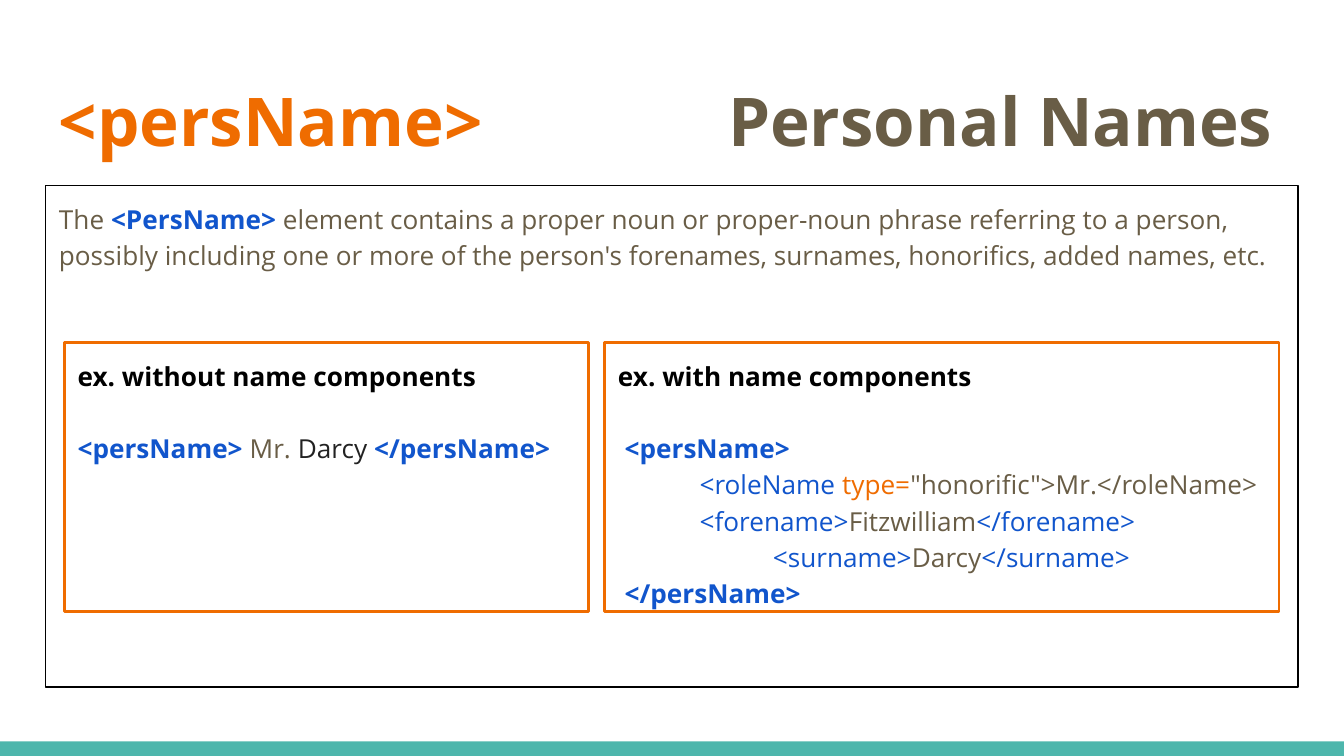
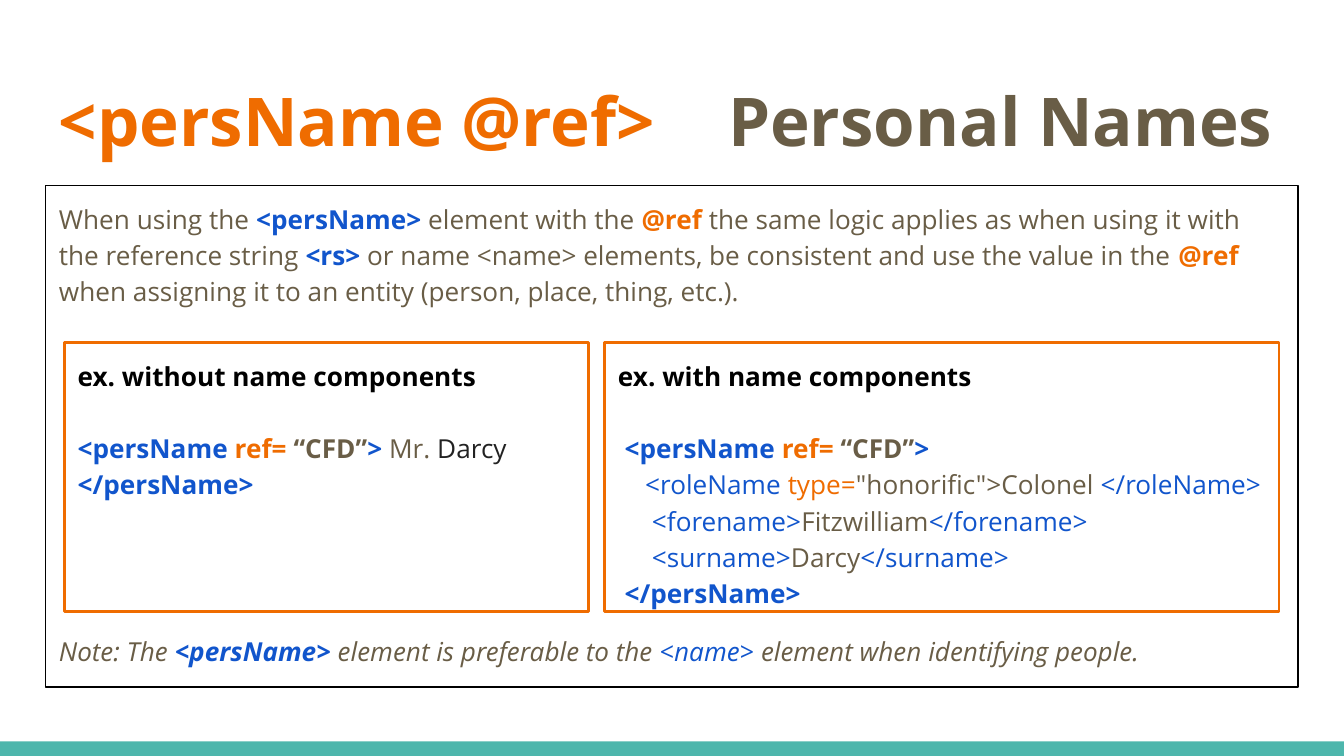
from lxml import etree
from pptx import Presentation
from pptx.dml.color import RGBColor
from pptx.enum.shapes import MSO_SHAPE
from pptx.enum.text import MSO_ANCHOR, PP_ALIGN
from pptx.oxml.ns import qn
from pptx.util import Pt

BROWN, ORANGE, BLUE = "695D46", "EF6C00", "1155CC"
BLACK, INK, TEAL, WHITE = "000000", "222222", "4DB6AC", "FFFFFF"
FONT = "Open Sans"
LINE_PITCH = 19.29
TITLE_TAB = 358.5

STYLES = {
    "text": (BROWN, {}),
    "text bold": (BROWN, {"bold": True}),
    "text italic": (BROWN, {"italic": True}),
    "ink": (INK, {}),
    "heading": (BLACK, {"bold": True}),
    "tag": (BLUE, {}),
    "tag bold": (BLUE, {"bold": True}),
    "tag italic": (BLUE, {"italic": True}),
    "tag bold italic": (BLUE, {"bold": True, "italic": True}),
    "attribute": (ORANGE, {}),
    "attribute bold": (ORANGE, {"bold": True}),
}

CFD = [("<persName ", "tag bold"), ("ref= ", "attribute bold"), ("“CFD”", "text bold")]
MR_DARCY = [("Mr. ", "text"), ("Darcy ", "ink"), ("</persName>", "tag bold")]
FORENAME = [("<forename>", "tag"), ("Fitzwilliam", "text"), ("</forename>", "tag")]
SURNAME = [("<surname>", "tag"), ("Darcy", "text"), ("</surname>", "tag")]
ROLE = [("<roleName ", "tag"), ("type=", "attribute")]
CLOSING = [("</persName>", "tag bold")]

LESSONS = [
    {
        "element": "<persName>",
        "body": [
            (0, 0, [
                ("The ", "text"),
                ("<PersName>", "tag bold"),
                (" element contains a proper noun or proper-noun phrase referring to a person, "
                 "possibly including one or more of the person's forenames, surnames, "
                 "honorifics, added names, etc.", "text"),
            ]),
        ],
        "simple": [("<persName> ", "tag bold")] + MR_DARCY,
        "opening": [("<persName>", "tag bold")],
        "components": [
            (43.7, ROLE + [("\"honorific\">Mr.</roleName>", "text")]),
            (43.7, FORENAME),
            (83, SURNAME),
        ],
    },
    {
        "element": "<persName @ref>",
        "body": [
            (0, 0, [
                ("When using the ", "text"),
                ("<persName>", "tag bold"),
                (" element with the ", "text"),
                ("@ref", "attribute bold"),
                (" the same logic applies as when using it with the reference string ", "text"),
                ("<rs>", "tag bold"),
                (" or name <name> elements, be consistent and use the value in the ", "text"),
                ("@ref ", "attribute bold"),
                ("when assigning it to an entity (person, place, thing, etc.).", "text"),
            ]),
            (0, 9 * LINE_PITCH, [
                ("Note: The ", "text italic"),
                ("<persName>", "tag bold italic"),
                (" element is preferable to the ", "text italic"),
                ("<name>", "tag italic"),
                (" element when identifying people.", "text italic"),
            ]),
        ],
        "simple": CFD + [("> ", "tag bold")] + MR_DARCY,
        "opening": CFD + [(">", "tag bold")],
        "components": [
            (14.6, ROLE + [("\"honorific\">Colonel ", "text"), ("</roleName>", "tag")]),
            (18.2, FORENAME),
            (18.2, SURNAME),
        ],
    },
]


def color(value):
    return RGBColor.from_string(value)


def write(shape, paragraphs, size=14, spacing=1.15):
    frame = shape.text_frame
    settings = {"word_wrap": True, "vertical_anchor": MSO_ANCHOR.TOP}
    for side in ("left", "top", "right", "bottom"):
        settings[f"margin_{side}"] = Pt(7.2)
    for name, value in settings.items():
        setattr(frame, name, value)
    for index, (indent, before, runs) in enumerate(paragraphs):
        paragraph = frame.add_paragraph() if index else frame.paragraphs[0]
        layout = {"alignment": PP_ALIGN.LEFT, "line_spacing": spacing, "space_before": Pt(before)}
        for name, value in layout.items():
            setattr(paragraph, name, value)
        if indent:
            paragraph._p.get_or_add_pPr().set("marL", str(Pt(indent)))
        for text, style in runs:
            run = paragraph.add_run()
            run.text = text
            hue, emphasis = STYLES[style]
            for name, value in {"name": FONT, "size": Pt(size), **emphasis}.items():
                setattr(run.font, name, value)
            run.font.color.rgb = color(hue)


presentation = Presentation()
presentation.slide_width = Pt(720)
presentation.slide_height = Pt(405)

for lesson in LESSONS:
    slide = presentation.slides.add_slide(presentation.slide_layouts[6])
    slide.background.fill.solid()
    slide.background.fill.fore_color.rgb = color(WHITE)

    band = slide.shapes.add_shape(MSO_SHAPE.RECTANGLE, Pt(0), Pt(397.2), Pt(720), Pt(7.8))
    band.shadow.inherit = False
    band.fill.solid()
    band.fill.fore_color.rgb = color(TEAL)
    band.line.fill.background()

    title = slide.shapes.add_textbox(Pt(24.5), Pt(35.2), Pt(671), Pt(55.4))
    heading = [(lesson["element"], "attribute bold"), ("\tPersonal Names", "text bold")]
    write(title, [(0, 0, heading)], size=36, spacing=1.0)
    properties = title.text_frame.paragraphs[0]._p.get_or_add_pPr()
    tabs = etree.SubElement(properties, qn("a:tabLst"))
    etree.SubElement(tabs, qn("a:tab"), pos=str(Pt(TITLE_TAB)), algn="l")

    simple = [
        (0, 0, [("ex. without name components", "heading")]),
        (0, LINE_PITCH, lesson["simple"]),
    ]
    detailed = [
        (0, 0, [("ex. with name components", "heading")]),
        (3.6, LINE_PITCH, lesson["opening"]),
        *[(indent, 0, runs) for indent, runs in lesson["components"]],
        (3.6, 0, CLOSING),
    ]
    panels = [
        (24.5, 99.4, 671, 268.6, BLACK, 0.75, lesson["body"]),
        (34.5, 183.6, 281, 144, ORANGE, 1.5, simple),
        (324, 183.6, 361.2, 144, ORANGE, 1.5, detailed),
    ]
    for left, top, width, height, outline, weight, paragraphs in panels:
        panel = slide.shapes.add_shape(
            MSO_SHAPE.RECTANGLE, Pt(left), Pt(top), Pt(width), Pt(height))
        panel.shadow.inherit = False
        panel.fill.background()
        panel.line.color.rgb = color(outline)
        panel.line.width = Pt(weight)
        write(panel, paragraphs)

presentation.save("out.pptx")
